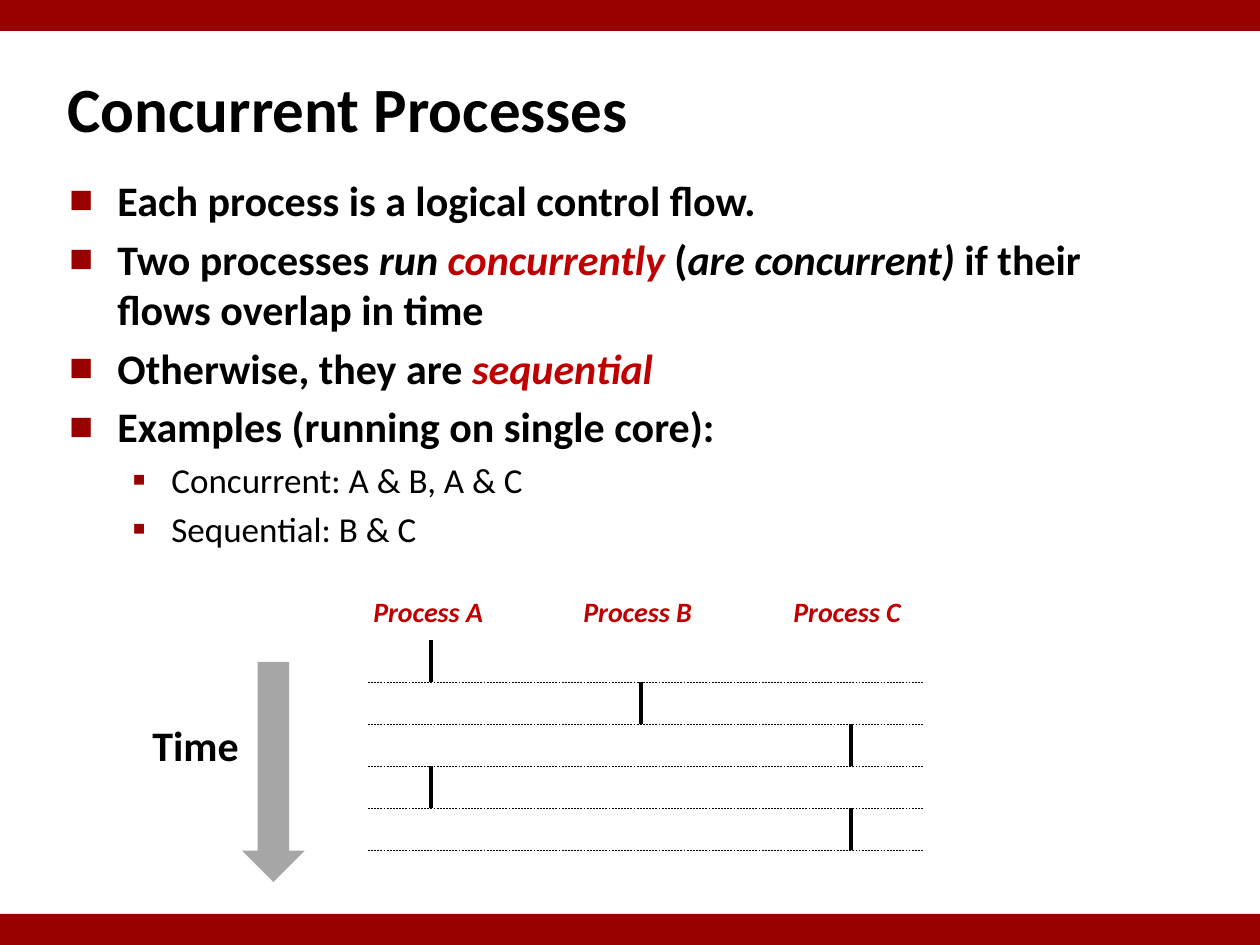
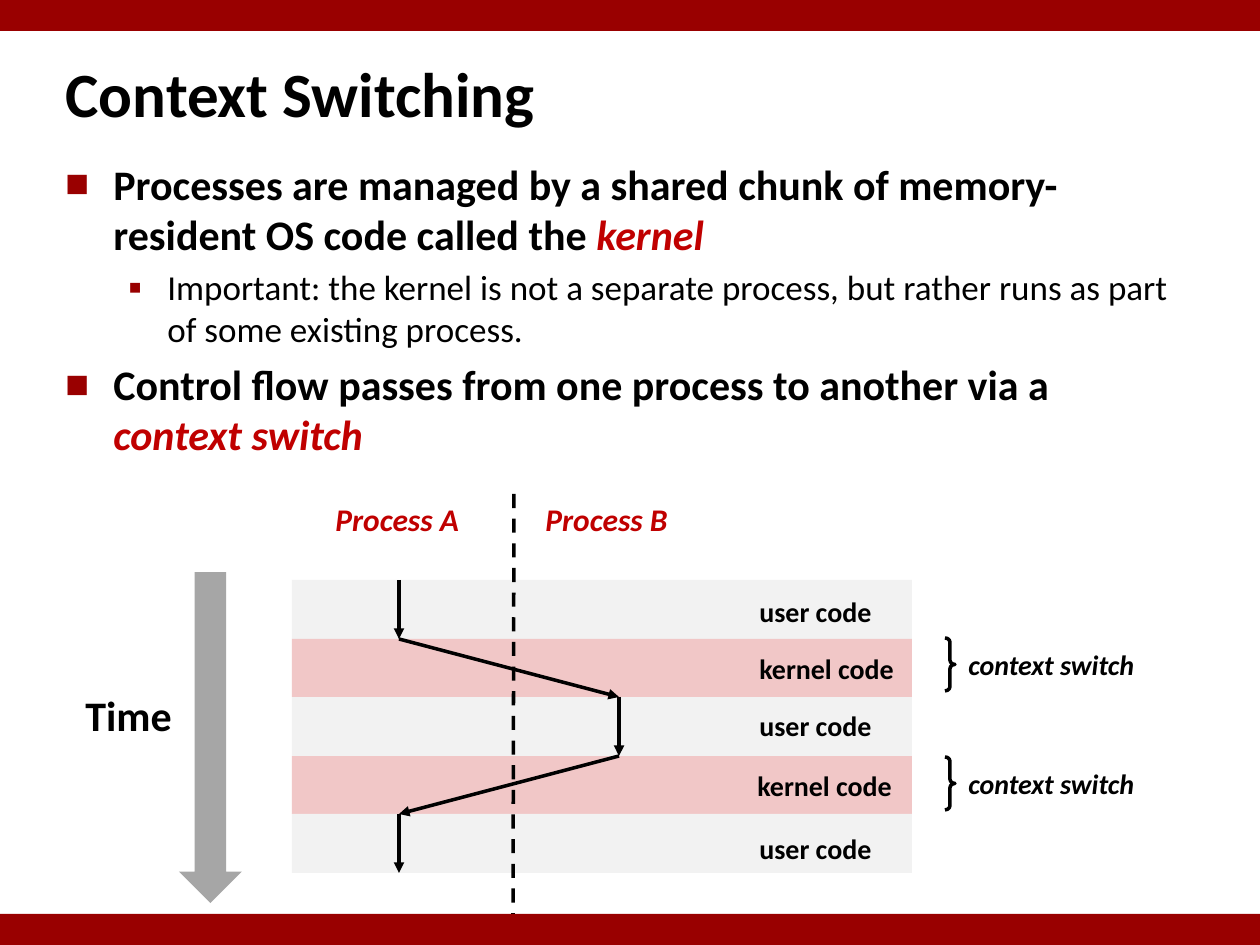
from itertools import pairwise

from lxml.etree import SubElement
from pptx import Presentation
from pptx.dml.color import RGBColor
from pptx.enum.dml import MSO_LINE
from pptx.enum.shapes import MSO_CONNECTOR, MSO_SHAPE
from pptx.enum.text import MSO_ANCHOR, MSO_AUTO_SIZE, PP_ALIGN
from pptx.oxml.ns import qn
from pptx.util import Emu, Pt

FONT = "Calibri"
BLACK = RGBColor(0x00, 0x00, 0x00)
BAND_RED = RGBColor(0x99, 0x00, 0x00)
KEY_RED = RGBColor(0xC0, 0x00, 0x00)
ARROW_GREY = RGBColor(0xA6, 0xA6, 0xA6)
USER_GREY = RGBColor(0xF2, 0xF2, 0xF2)
KERNEL_PINK = RGBColor(0xF1, 0xC7, 0xC7)

SLIDE_WIDTH, SLIDE_HEIGHT, BAND_HEIGHT = 1260, 945, 31
PLAIN, ITALIC, KEY = (False, BLACK), (True, BLACK), (True, KEY_RED)

LEVELS = [
    {"margin": 48, "hang": 48, "size": 24, "bold": True, "bullet": "■", "percent": 60},
    {"margin": 102, "hang": 39, "size": 20, "bold": False, "bullet": "▪", "percent": 110},
]

CONCURRENT_BULLETS = [
    (0, [("Each process is a logical control flow.", PLAIN)]),
    (0, [("Two processes ", PLAIN), ("run ", ITALIC), ("concurrently", KEY),
         (" (", PLAIN), ("are concurrent)", ITALIC),
         (" if their flows overlap in time", PLAIN)]),
    (0, [("Otherwise, they are ", PLAIN), ("sequential", KEY)]),
    (0, [("Examples (running on single core):", PLAIN)]),
    (1, [("Concurrent: A & B, A & C", PLAIN)]),
    (1, [("Sequential: B & C", PLAIN)]),
]
SWITCHING_BULLETS = [
    (0, [("Processes are managed by a shared chunk of memory-resident OS code called the ", PLAIN),
         ("kernel", KEY)]),
    (1, [("Important: the kernel is not a separate process, but rather runs as part "
          "of some existing process.", PLAIN)]),
    (0, [("Control flow passes from one process to another via a ", PLAIN),
         ("context switch", KEY)]),
]
PROCESSES = "ABC"
SCHEDULE = "ABCAC"
CODE_BANDS = [
    ("user code", 747, 588),
    ("kernel code", 747, 645),
    ("user code", 747, 702),
    ("kernel code", 745, 762),
    ("user code", 747, 825),
]
FLOW_COLUMNS = [399, 399, 619, 619, 399, 399]
SWITCH_TOPS = [638, 757]


def px(length):
    return Emu(round(length * 914400 / 126))


def add_run(paragraph, text, size, bold, style):
    run = paragraph.add_run()
    run.text = text
    font = run.font
    font.name, font.size, font.bold = FONT, Pt(size), bold
    font.italic, font.color.rgb = style


def add_box(slide, left, top, width, height, wrap=False):
    shape = slide.shapes.add_textbox(px(left), px(top), px(width), px(height))
    shape.text_frame.word_wrap = wrap
    return shape.text_frame


def add_label(slide, text, left, top, width, height, size, style=PLAIN):
    frame = add_box(slide, left, top, width, height)
    add_run(frame.paragraphs[0], text, size, True, style)


def add_block(slide, kind, left, top, width, height, fill=None):
    shape = slide.shapes.add_shape(kind, px(left), px(top), px(width), px(height))
    shape.shadow.inherit = False
    if fill is None:
        shape.fill.background()
        shape.line.color.rgb = BLACK
        shape.line.width = Pt(2)
    else:
        shape.fill.solid()
        shape.fill.fore_color.rgb = fill
        shape.line.fill.background()
    return shape


def add_line(slide, start, end, width=2, dashed=False, arrow=False):
    connector = slide.shapes.add_connector(
        MSO_CONNECTOR.STRAIGHT, *map(px, start + end))
    connector.line.color.rgb = BLACK
    connector.line.width = Pt(width)
    if dashed:
        connector.line.dash_style = MSO_LINE.DASH
    if arrow:
        SubElement(connector.line._get_or_add_ln(), qn("a:tailEnd"), type="triangle")
    SubElement(connector._element.spPr, qn("a:effectLst"))


def add_title(slide, text, left, top, width, height):
    title = slide.shapes.title
    title.left, title.top, title.width, title.height = map(px, (left, top, width, height))
    frame = title.text_frame
    frame.auto_size = MSO_AUTO_SIZE.NONE
    frame.vertical_anchor = MSO_ANCHOR.MIDDLE
    paragraph = frame.paragraphs[0]
    paragraph.alignment = PP_ALIGN.LEFT
    add_run(paragraph, text, 36, True, PLAIN)


def add_bullets(slide, bullets, left, top, width, height):
    frame = add_box(slide, left, top, width, height, wrap=True)
    for index, (depth, runs) in enumerate(bullets):
        level = LEVELS[depth]
        paragraph = frame.add_paragraph() if index else frame.paragraphs[0]
        paragraph.level = depth
        properties = paragraph._p.get_or_add_pPr()
        properties.set("marL", str(px(level["margin"])))
        properties.set("indent", str(-px(level["hang"])))
        color = SubElement(properties, qn("a:buClr"))
        SubElement(color, qn("a:srgbClr"), val=str(BAND_RED))
        SubElement(properties, qn("a:buSzPct"), val=str(level["percent"] * 1000))
        SubElement(properties, qn("a:buFont"), typeface=FONT)
        SubElement(properties, qn("a:buChar"), char=level["bullet"])
        if index:
            paragraph.space_before = Pt(level["size"] / 5)
        for text, style in runs:
            add_run(paragraph, text, level["size"], level["bold"], style)


def add_time_arrow(slide, arrow_left, arrow_top, arrow_height, label_left, label_top):
    add_label(slide, "Time", label_left, label_top, 112, 63, 24)
    add_block(slide, MSO_SHAPE.DOWN_ARROW, arrow_left, arrow_top, 63, arrow_height, ARROW_GREY)


def add_red_bands(slide):
    for top in (0, SLIDE_HEIGHT - BAND_HEIGHT):
        add_block(slide, MSO_SHAPE.RECTANGLE, 0, top, SLIDE_WIDTH, BAND_HEIGHT, BAND_RED)


def build_concurrent_processes(slide):
    add_title(slide, "Concurrent Processes", 55, 68, 837, 79)
    add_bullets(slide, CONCURRENT_BULLETS, 57, 168, 1089, 357)
    first_column, column_gap, first_row, row_height = 431, 210, 640, 42
    for index, process in enumerate(PROCESSES):
        add_label(slide, f"Process {process}", 361 + index * column_gap, 588, 137, 47, 16, KEY)
    for index, process in enumerate(SCHEDULE):
        column = first_column + PROCESSES.index(process) * column_gap
        top = first_row + index * row_height
        bottom = top + row_height
        add_line(slide, (column, top), (column, bottom))
        add_line(slide, (368, bottom), (924, bottom), 0.25, dashed=True)
    add_time_arrow(slide, 242, 662, 220, 140, 713)
    add_red_bands(slide)


def build_context_switching(slide):
    add_title(slide, "Context Switching", 53, 53, 805, 79)
    add_bullets(slide, SWITCHING_BULLETS, 53, 152, 1143, 352)
    edges = [round(580 + 293 * index / len(CODE_BANDS)) for index in range(len(CODE_BANDS) + 1)]
    for (text, left, label_top), (top, bottom) in zip(CODE_BANDS, pairwise(edges)):
        fill = USER_GREY if text == "user code" else KERNEL_PINK
        add_block(slide, MSO_SHAPE.RECTANGLE, 292, top, 620, bottom - top, fill)
        add_label(slide, text, left, label_top, 161 if text == "kernel code" else 139, 47, 16)
    for process, left in (("A", 323), ("B", 533)):
        add_label(slide, f"Process {process}", left, 494, 151, 50, 18, KEY)
    add_line(slide, (514, 494), (513, 924), dashed=True)
    for start, end in pairwise(zip(FLOW_COLUMNS, edges)):
        add_line(slide, start, end, arrow=True)
    for top in SWITCH_TOPS:
        brace = add_block(slide, MSO_SHAPE.RIGHT_BRACE, 945, top, 10, 53)
        brace.adjustments[0] = 0.42
        add_label(slide, "context switch", 956, top + 3, 194, 47, 16, ITALIC)
    add_time_arrow(slide, 179, 572, 331, 73, 683)
    add_red_bands(slide)


def main():
    presentation = Presentation()
    presentation.slide_width, presentation.slide_height = px(SLIDE_WIDTH), px(SLIDE_HEIGHT)
    title_only = presentation.slide_layouts[5]
    for build in (build_concurrent_processes, build_context_switching):
        build(presentation.slides.add_slide(title_only))
    presentation.save("out.pptx")


if __name__ == "__main__":
    main()
